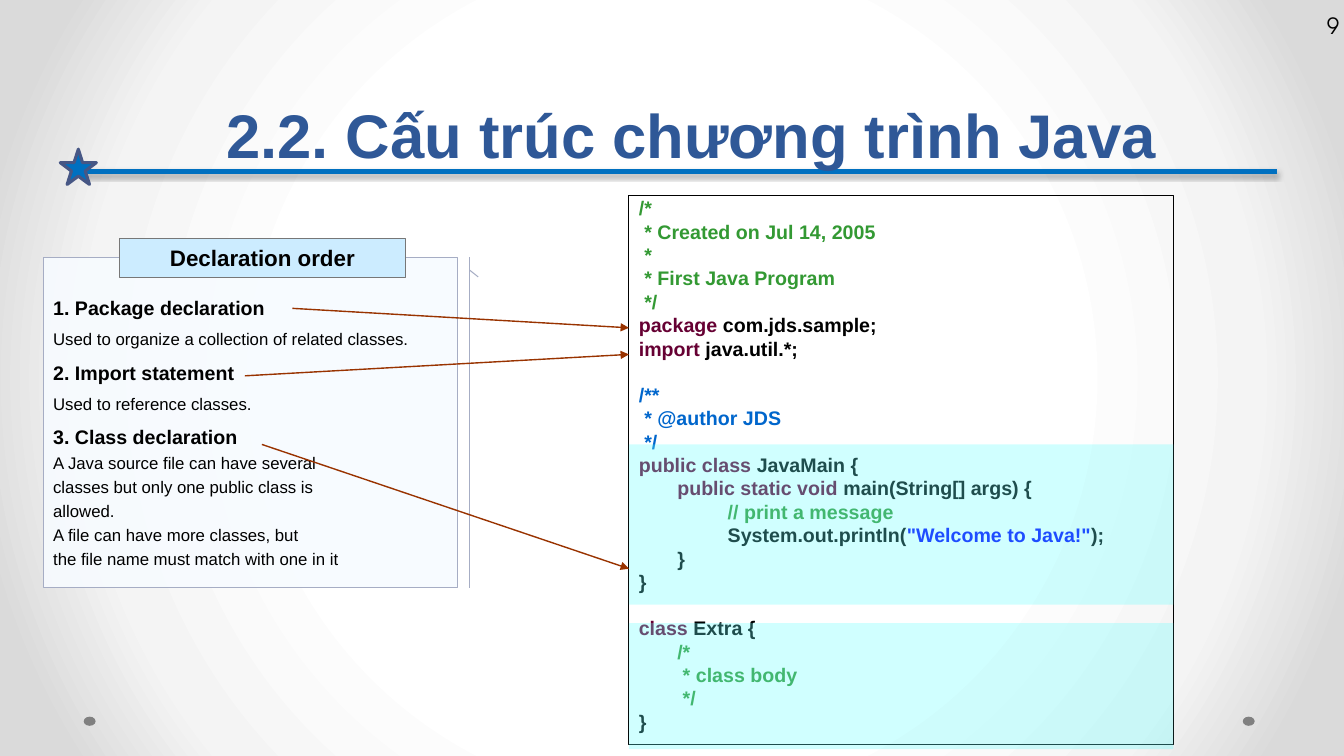
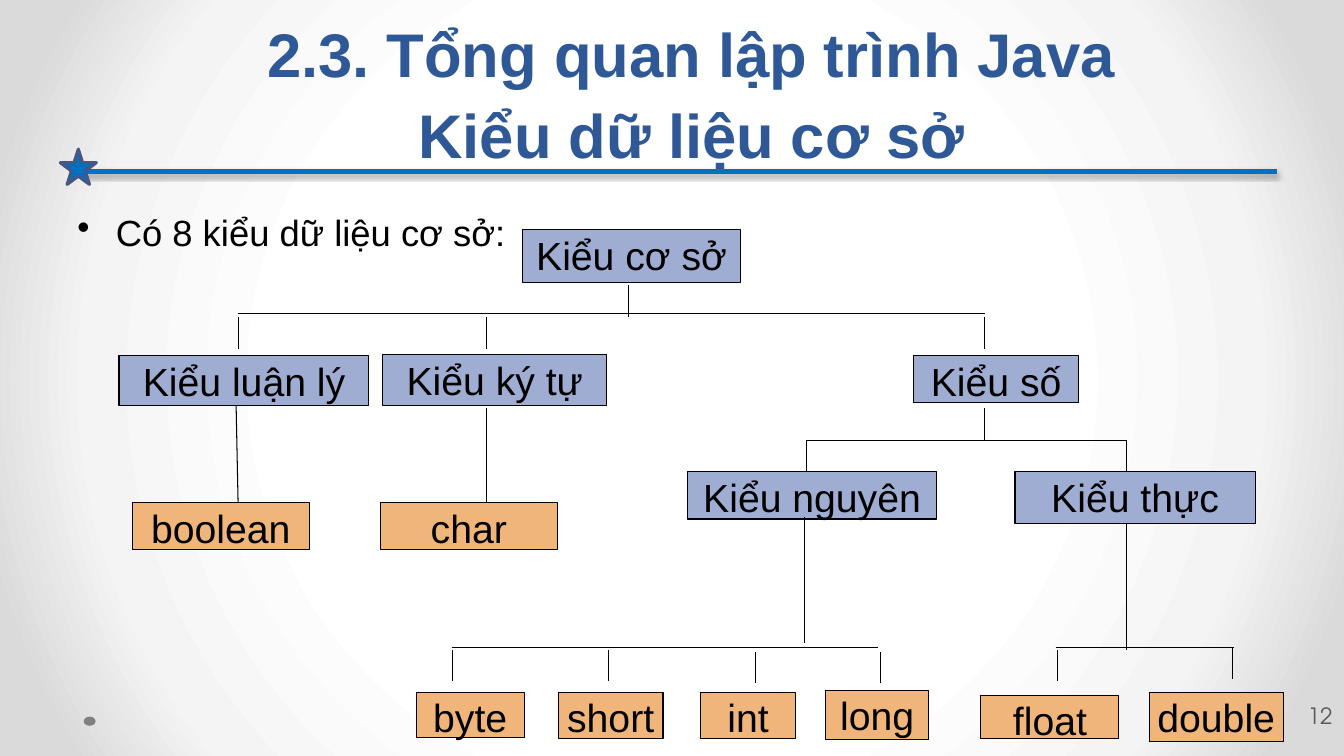
import pptx
import pptx.util
import pptx.dml.color
import pptx.enum.shapes
import pptx.enum.text
import pptx.oxml
import pptx.oxml.ns
from lxml import etree

Cm, Pt = pptx.util.Cm, pptx.util.Pt
qn = pptx.oxml.ns.qn
SHAPE = pptx.enum.shapes.MSO_SHAPE
ANCHOR = pptx.enum.text.MSO_ANCHOR
ALIGN = pptx.enum.text.PP_ALIGN

COLORS = {
    "black": "000000", "title": "2F5897", "band": "0070C0", "star": "475785",
    "dot": "808080", "number": "595959", "comment": "339933", "keyword": "660033",
    "doc": "0066CC", "string": "0000FF", "highlight": "66FFFF", "note": "F7FBFF",
    "note_line": "A6ADC4", "header": "CCECFF", "header_line": "777777",
    "arrow": "993300", "group": "A0ADD2", "leaf": "F0B57A",
}
FONT = "Arial"
NUMBER_FONT = "TeX Gyre Adventor"
GRADIENT = [(0, "FFFFFF"), (50, "FFFFFF"), (76, "F4F4F4"), (92, "DADADA"), (100, "DADADA")]

CODE_BLOCKS = [
    [
        [("/*", "comment")],
        [(" * Created on Jul 14, 2005", "comment")],
        [(" *", "comment")],
        [(" * First Java Program", "comment")],
        [(" */", "comment")],
        [("package", "keyword"), (" com.jds.sample;", "black")],
        [("import", "keyword"), (" java.util.*;", "black")],
    ],
    [
        [("/**", "doc")],
        [(" * @author JDS", "doc")],
        [(" */", "doc")],
        [("public class", "keyword"), (" JavaMain {", "black")],
        [("\tpublic static void", "keyword"), (" main(String[] args) {", "black")],
        [("\t\t// print a message", "comment")],
        [("\t\tSystem.out.println(", "black"), ('"Welcome to Java!"', "string"), (");", "black")],
        [("\t}", "black")],
        [("}", "black")],
    ],
    [
        [("class", "keyword"), (" Extra {", "black")],
        [("\t/*", "comment")],
        [("\t * class body", "comment")],
        [("\t */", "comment")],
        [("}", "black")],
    ],
]
ORDER_LINES = [
    ("1. Package declaration", 14, 8),
    ("Used to organize a collection of related classes.", 12, 6.9),
    ("2. Import statement", 14, 8),
    ("Used to reference classes.", 12, 6.9),
    ("3. Class declaration", 14, 8),
    ("A Java source file can have several", 12, 2.8),
    ("classes but only one public class is", 12, 2.8),
    ("allowed.", 12, 2.8),
    ("A file can have more classes, but", 12, 2.8),
    ("the file name must match with one in it", 12, 2.8),
]
TREE_BOXES = [
    ("Kiểu cơ sở", "group", 10.16, 0, 5.51, 1.32),
    ("Kiểu luận lý", "group", 0, 3.18, 6.3, 1.24),
    ("Kiểu ký tự", "group", 6.65, 3.15, 5.64, 1.27),
    ("Kiểu số", "group", 20.02, 3.18, 4.17, 1.17),
    ("Kiểu nguyên", "group", 14.33, 6.1, 6.27, 1.19),
    ("Kiểu thực", "group", 22.58, 6.1, 6.05, 1.3),
    ("boolean", "leaf", 0.33, 6.88, 4.47, 1.19),
    ("char", "leaf", 6.58, 6.88, 4.47, 1.19),
    ("byte", "leaf", 7.49, 11.66, 2.72, 1.14),
    ("short", "leaf", 11.07, 11.66, 2.64, 1.17),
    ("int", "leaf", 14.66, 11.66, 2.39, 1.17),
    ("long", "leaf", 17.81, 11.61, 2.59, 1.24),
    ("float", "leaf", 21.72, 11.73, 3.48, 1.09),
    ("double", "leaf", 25.96, 11.66, 3.38, 1.24),
]
TREE_BARS = [(3, 21.82, 2.11), (17.32, 25.4, 5.31), (8.38, 19.13, 10.52), (23.6, 28.09, 10.52)]
TREE_STEMS = [
    ([12.85], 1.4, 2.21), ([3, 9.27, 21.82], 2.21, 3), ([9.27], 4.5, 6.88),
    ([21.82], 4.5, 5.31), ([17.32, 25.4], 5.31, 6.1), ([17.27], 7.24, 10.41),
    ([25.4], 7.39, 10.59), ([8.41, 12.34, 23.65], 10.59, 11.38),
    ([16.05, 19.18], 10.64, 11.43), ([28.07], 10.52, 11.33),
]


def rgb(name):
    """Return the named colour."""
    return pptx.dml.color.RGBColor.from_string(COLORS[name])


def add_box(s, kind, box, fill=None, line=None, width=0.75, alpha=None):
    """Add a preset shape with top-anchored, wrapping text."""
    sp = s.shapes.add_shape(kind, *[Cm(v) for v in box])
    sp.shadow.inherit = False
    if fill:
        sp.fill.solid()
        sp.fill.fore_color.rgb = rgb(fill)
    else:
        sp.fill.background()
    if alpha:
        clr = next(sp.element.iter(qn("a:srgbClr")))
        etree.SubElement(clr, qn("a:alpha")).set("val", str(alpha * 1000))
    if line:
        sp.line.color.rgb = rgb(line)
        sp.line.width = Pt(width)
    else:
        sp.line.fill.background()
    sp.text_frame.word_wrap = True
    sp.text_frame.vertical_anchor = ANCHOR.TOP
    return sp


def add_line(s, x1, y1, x2, y2, color="black", width=0.75, arrow=False):
    """Add a straight connector and return its effect list."""
    ln = s.shapes.add_connector(pptx.enum.shapes.MSO_CONNECTOR.STRAIGHT,
                                Cm(x1), Cm(y1), Cm(x2), Cm(y2))
    ln.line.color.rgb = rgb(color)
    ln.line.width = Pt(width)
    if arrow:
        etree.SubElement(ln.line._get_or_add_ln(), qn("a:tailEnd")).set("type", "triangle")
    return etree.SubElement(ln.element.find(qn("p:spPr")), qn("a:effectLst"))


def style(p, size, color="black", bold=False, align=ALIGN.LEFT, font=FONT):
    """Format every run of a paragraph."""
    p.alignment = align
    for r in p.runs:
        r.font.name, r.font.size, r.font.bold = font, Pt(size), bold
        r.font.color.rgb = rgb(color)


def set_margins(tf, left, top, right, bottom):
    """Set the text insets."""
    tf.margin_left, tf.margin_top = Cm(left), Cm(top)
    tf.margin_right, tf.margin_bottom = Cm(right), Cm(bottom)


def hang(p):
    """Give a paragraph a hanging indent."""
    pPr = p._p.get_or_add_pPr()
    pPr.set("marL", str(Cm(0.97)))
    pPr.set("indent", str(-Cm(0.97)))
    return pPr


def set_background(master):
    """Give the master a radial grey gradient."""
    master.background.fill.gradient()
    grad = next(master.element.iter(qn("a:gradFill")))
    for child in list(grad):
        grad.remove(child)
    stops = etree.SubElement(grad, qn("a:gsLst"))
    for pos, color in GRADIENT:
        gs = etree.SubElement(stops, qn("a:gs"), pos=str(pos * 1000))
        etree.SubElement(gs, qn("a:srgbClr"), val=color)
    circle = etree.SubElement(grad, qn("a:path"), path="circle")
    etree.SubElement(circle, qn("a:fillToRect"), l="50000", t="50000", r="50000", b="50000")


def add_slide(prs, title, dots):
    """Add a slide with dots, title band and title."""
    s = prs.slides.add_slide(prs.slide_layouts[5])
    for x in dots:
        add_box(s, SHAPE.OVAL, (x, 18.06, 0.3, 0.23), "dot")
    effects = add_line(s, 2.13, 4.32, 32.18, 4.32, "band", 4)
    shadow = etree.SubElement(effects, qn("a:outerShdw"), blurRad=str(Pt(3.1)),
                              dist=str(Pt(1.8)), dir="5400000", rotWithShape="0")
    clr = etree.SubElement(shadow, qn("a:srgbClr"), val=COLORS["black"])
    etree.SubElement(clr, qn("a:alpha"), val="35000")
    add_box(s, SHAPE.STAR_5_POINT, (1.52, 3.76, 0.91, 0.89), "band", "star", 2.25)
    sp = s.shapes.title
    sp.element.getparent().append(sp.element)
    sp.left, sp.top, sp.width, sp.height = Cm(2.74), Cm(0.48), Cm(29.39), Cm(3.96)
    tf = sp.text_frame
    tf.text = title
    tf.word_wrap = True
    tf.auto_size = pptx.enum.text.MSO_AUTO_SIZE.NONE
    tf.vertical_anchor = ANCHOR.BOTTOM
    tf.paragraphs[0].line_spacing = Pt(58)
    style(tf.paragraphs[0], 44, "title", True, ALIGN.CENTER)
    return s


def add_number(s, box, text, color):
    """Add the slide number."""
    tf = s.shapes.add_textbox(*[Cm(v) for v in box]).text_frame
    tf.text = text
    tf.word_wrap = True
    tf.vertical_anchor = ANCHOR.MIDDLE
    set_margins(tf, 0.08, 0.13, 0.13, 0.13)
    style(tf.paragraphs[0], 16, color, align=ALIGN.RIGHT, font=NUMBER_FONT)


def add_code(s, x, y, w, h):
    """Add the code listing and its highlighted classes."""
    tf = add_box(s, SHAPE.RECTANGLE, (x, y, w, h), line="black").text_frame
    p = tf.paragraphs[0]
    for b, block in enumerate(CODE_BLOCKS):
        for i, line in enumerate(block):
            if b or i:
                p = tf.add_paragraph()
            hang(p)
            p.line_spacing = 0.8
            p.space_before = Pt(19.5 if b and not i else 3.3)
            for text, _ in line:
                p.add_run().text = text
            style(p, 14, bold=True)
            for r, (_, color) in zip(p.runs, line):
                r.font.color.rgb = rgb(color)
    for dy, height in [(6.27, 4.04), (10.77, 3.18)]:
        add_box(s, SHAPE.RECTANGLE, (x, y + dy, w, height), "highlight", alpha=30)


def add_order(s, x, y, w, h):
    """Add the declaration order callout with its header."""
    sp = add_box(s, SHAPE.LINE_CALLOUT_1_BORDER_AND_ACCENT_BAR, (x, y, w, h),
                 "note", "note_line", alpha=90)
    for i, value in enumerate([0.04, 1.03, 0.06, 1.05]):
        sp.adjustments[i] = value
    tf = sp.text_frame
    set_margins(tf, 0.25, 0.98, 0.25, 0.13)
    tf.text = "\n".join(text for text, _, _ in ORDER_LINES)
    for p, (_, size, gap) in zip(tf.paragraphs, ORDER_LINES):
        p.space_before = Pt(gap)
        style(p, size, bold=size == 14)
    sp = add_box(s, SHAPE.RECTANGLE, (x + 1.93, y - 0.46, 7.19, 0.97), "header", "header_line")
    sp.text_frame.text = "Declaration order"
    style(sp.text_frame.paragraphs[0], 16, bold=True, align=ALIGN.CENTER)


def add_tree(s, x, y):
    """Add the tree of primitive types."""
    for text, color, dx, dy, w, h in TREE_BOXES:
        sp = add_box(s, SHAPE.RECTANGLE, (x + dx, y + dy, w, h), color, "black")
        set_margins(sp.text_frame, 0.03, 0.03, 0.03, 0.03)
        sp.text_frame.text = text
        style(sp.text_frame.paragraphs[0], 28, align=ALIGN.CENTER)
    for x1, x2, dy in TREE_BARS:
        add_line(s, x + x1, y + dy, x + x2, y + dy)
    for columns, y1, y2 in TREE_STEMS:
        for dx in columns:
            add_line(s, x + dx, y + y1, x + dx, y + y2)
    add_line(s, x + 2.95, y + 4.42, x + 3, y + 6.88)


def add_bullet(s, x, y, w, h):
    """Add the bulleted statement."""
    tf = s.shapes.add_textbox(Cm(x), Cm(y), Cm(w), Cm(h)).text_frame
    tf.word_wrap = True
    tf.text = "Có 8 kiểu dữ liệu cơ sở:"
    p = tf.paragraphs[0]
    style(p, 26)
    etree.SubElement(hang(p), qn("a:buChar"), char="•")


def structure_slide(prs):
    """Build the program structure slide."""
    s = add_slide(prs, "2.2. Cấu trúc chương trình Java", [31.32, 2.11])
    add_number(s, (26.82, 0, 7.06, 1.27), "9", "black")
    code, order = (15.85, 4.93, 13.72, 13.84), (1.09, 6.48, 10.44, 8.33)
    add_code(s, *code)
    add_order(s, *order)
    for dx, dy, target in [(6.28, 1.29, 3.33), (5.08, 2.99, 4), (5.51, 4.72, 9.4)]:
        add_line(s, order[0] + dx, order[1] + dy, code[0], code[1] + target, "arrow", 1, True)


def types_slide(prs):
    """Build the primitive types slide."""
    s = add_slide(prs, "2.3. Tổng quan lập trình Java\vKiểu dữ liệu cơ sở", [2.11])
    add_bullet(s, 1.7, 5.16, 30.48, 12.85)
    add_tree(s, 3, 5.79)
    add_number(s, (31.27, 17.4, 2.44, 1.27), "12", "number")


def main():
    """Build and save the presentation."""
    prs = pptx.Presentation()
    prs.slide_width, prs.slide_height = Cm(33.87), Cm(19.05)
    set_background(prs.slide_master)
    structure_slide(prs)
    types_slide(prs)
    prs.save("out.pptx")


if __name__ == "__main__":
    main()
